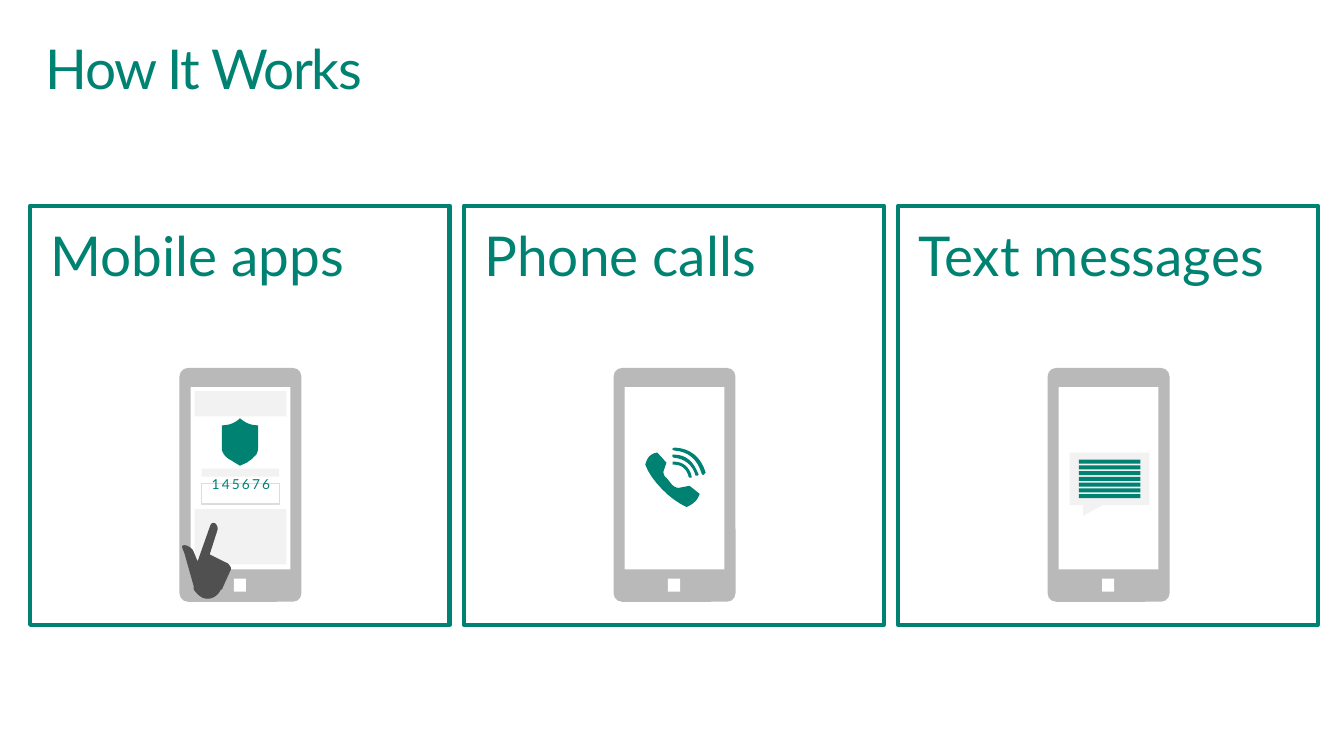
from pptx import Presentation
from pptx.dml.color import RGBColor
from pptx.enum.shapes import MSO_SHAPE
from pptx.enum.text import MSO_ANCHOR, MSO_AUTO_SIZE, PP_ALIGN
from pptx.util import Inches, Pt

TEAL = RGBColor(0x00, 0x82, 0x72)
GRAY = RGBColor(0xB9, 0xB9, 0xB9)
PALE = RGBColor(0xF2, 0xF2, 0xF2)
EDGE = RGBColor(0xDC, 0xDC, 0xDC)
DARK = RGBColor(0x50, 0x50, 0x50)
WHITE = RGBColor(0xFF, 0xFF, 0xFF)

deck = Presentation()
deck.slide_width, deck.slide_height = Inches(13.33), Inches(7.5)
slide = deck.slides.add_slide(deck.slide_layouts[5])
shapes = slide.shapes


def write(shape, text, size=39.2, inset=(0.2, 0.16), align=PP_ALIGN.LEFT,
          spacing=1.0, track=0):
    frame = shape.text_frame
    frame.word_wrap = True
    frame.auto_size = MSO_AUTO_SIZE.NONE
    frame.vertical_anchor = MSO_ANCHOR.TOP
    frame.margin_left = frame.margin_right = Inches(inset[0])
    frame.margin_top = frame.margin_bottom = Inches(inset[1])
    line = frame.paragraphs[0]
    line.alignment, line.line_spacing = align, spacing
    run = line.add_run()
    run.text = text
    run.font.name, run.font.size = "Lato", Pt(size)
    run.font.color.rgb = TEAL
    if track:
        run.font._element.set("spc", str(round(track * 100)))


def box(x, y, w, h, fill=None, edge=None, width=1, kind=MSO_SHAPE.RECTANGLE):
    shape = shapes.add_shape(kind, Inches(x), Inches(y), Inches(w), Inches(h))
    shape.shadow.inherit = False
    if fill is None:
        shape.fill.background()
    else:
        shape.fill.solid()
        shape.fill.fore_color.rgb = fill
    if edge is None:
        shape.line.fill.background()
    else:
        shape.line.color.rgb = edge
        shape.line.width = Pt(width)
    return shape


# Title
title = shapes.title
title.left, title.top = Inches(0.29), Inches(0.32)
title.width, title.height = Inches(12.74), Inches(0.98)
write(title, "How It Works", inset=(0.16, 0.1), spacing=0.9, track=-1)

# Cards, each with a phone
for col, label in enumerate(["Mobile apps", "Phone calls", "Text messages"]):
    left = 0.3 + col * 4.305
    card = box(left, 2.04, 4.16, 4.16, WHITE, TEAL, 3)
    write(card, label)
    phone = box(left + 1.48, 3.65, 1.21, 2.32, GRAY,
                kind=MSO_SHAPE.ROUNDED_RECTANGLE)
    phone.adjustments[0] = 0.07
    box(left + 1.59, 3.84, 0.99, 1.81, WHITE)
    box(left + 2.02, 5.74, 0.12, 0.13, WHITE)

# App screen with code field
for x, y, w, h in [(1.93, 3.88, 0.91, 0.25), (2, 4.65, 0.77, 0.08),
                   (1.93, 5.05, 0.91, 0.55)]:
    box(x, y, w, h, PALE)
box(2, 4.8, 0.77, 0.2, edge=EDGE)
code = shapes.add_textbox(Inches(1.84), Inches(4.68), Inches(1.1), Inches(0.47))
write(code, "1 4 5 6 7 6", size=9.8, inset=(0.2, 0.06), align=PP_ALIGN.CENTER,
      spacing=0.9, track=-0.5)

# Message bubble with text lines
bubble = box(10.61, 4.49, 0.79, 0.52, PALE, kind=MSO_SHAPE.RECTANGULAR_CALLOUT)
bubble.adjustments[0], bubble.adjustments[1] = -0.33, 0.7
for row in range(7):
    box(10.7, 4.56 + row * 0.057, 0.61, 0.04, TEAL)

# Curved icons: two numbers make a line, six make a Bezier curve
shield = [(2.2, 4.22), (2.27, 4.22, 2.33, 4.2, 2.38, 4.15),
          (2.44, 4.2, 2.49, 4.22, 2.56, 4.22), (2.56, 4.44),
          (2.56, 4.48, 2.55, 4.51, 2.52, 4.53),
          (2.5, 4.56, 2.47, 4.57, 2.45, 4.59), (2.38, 4.62), (2.28, 4.56),
          (2.26, 4.55, 2.24, 4.53, 2.23, 4.52),
          (2.21, 4.49, 2.2, 4.47, 2.2, 4.45)]
hand = [(2.24, 5.58), (2.08, 5.5), (2.16, 5.25),
        (2.16, 5.23, 2.15, 5.2, 2.13, 5.19),
        (2.1, 5.18, 2.09, 5.2, 2.08, 5.23), (1.96, 5.57), (1.92, 5.47),
        (1.91, 5.44, 1.85, 5.4, 1.82, 5.41),
        (1.79, 5.41, 1.82, 5.46, 1.83, 5.49), (1.92, 5.81),
        (1.92, 5.83, 1.92, 5.85, 1.93, 5.86),
        (1.96, 5.9, 1.99, 5.92, 2.01, 5.93),
        (2.08, 5.96, 2.16, 5.92, 2.19, 5.85), (2.2, 5.85), (2.29, 5.65),
        (2.3, 5.63, 2.26, 5.58, 2.24, 5.58)]
horn = [(6.84, 4.82), (6.94, 4.9), (6.92, 4.96, 6.88, 5, 6.81, 5.03),
        (6.65, 4.96, 6.46, 4.77, 6.4, 4.61),
        (6.42, 4.54, 6.45, 4.5, 6.52, 4.49), (6.61, 4.59), (6.58, 4.68),
        (6.58, 4.7, 6.59, 4.73, 6.61, 4.74), (6.65, 4.79),
        (6.68, 4.83, 6.71, 4.84, 6.73, 4.84),
        (6.74, 4.84, 6.78, 4.83, 6.84, 4.82)]
near = [(6.68, 4.58), (6.67, 4.58, 6.67, 4.58, 6.67, 4.59),
        (6.67, 4.61, 6.67, 4.61, 6.68, 4.61),
        (6.76, 4.61, 6.81, 4.65, 6.83, 4.73), (6.84, 4.74), (6.86, 4.74),
        (6.86, 4.73), (6.84, 4.63, 6.77, 4.58, 6.68, 4.58)]
mid = [(6.68, 4.51), (6.67, 4.51), (6.67, 4.53), (6.68, 4.54),
       (6.79, 4.55, 6.87, 4.61, 6.9, 4.72), (6.92, 4.72), (6.93, 4.71),
       (6.88, 4.58, 6.81, 4.51, 6.68, 4.51)]
far = [(7, 4.69), (6.95, 4.53, 6.85, 4.45, 6.69, 4.44), (6.67, 4.45),
       (6.67, 4.46), (6.69, 4.47), (6.83, 4.48, 6.92, 4.56, 6.96, 4.7),
       (6.97, 4.71), (6.98, 4.71), (6.99, 4.7)]

STEPS = 8
for icon, color in [(shield, TEAL), (hand, DARK), (horn, TEAL),
                    (near, TEAL), (mid, TEAL), (far, TEAL)]:
    dots = [icon[0]]
    for part in icon[1:]:
        if len(part) == 2:
            dots.append(part)
            continue
        x0, y0 = dots[-1]
        x1, y1, x2, y2, x3, y3 = part
        for step in range(1, STEPS + 1):
            t = step / STEPS
            u = 1 - t
            a, b, c, d = u**3, 3 * u * u * t, 3 * u * t * t, t**3
            dots.append((a * x0 + b * x1 + c * x2 + d * x3,
                         a * y0 + b * y1 + c * y2 + d * y3))
    spots = [(Inches(x), Inches(y)) for x, y in dots]
    pen = shapes.build_freeform(*spots[0])
    pen.add_line_segments(spots[1:], close=True)
    shape = pen.convert_to_shape()
    shape.shadow.inherit = False
    shape.fill.solid()
    shape.fill.fore_color.rgb = color
    shape.line.fill.background()

deck.save("out.pptx")
